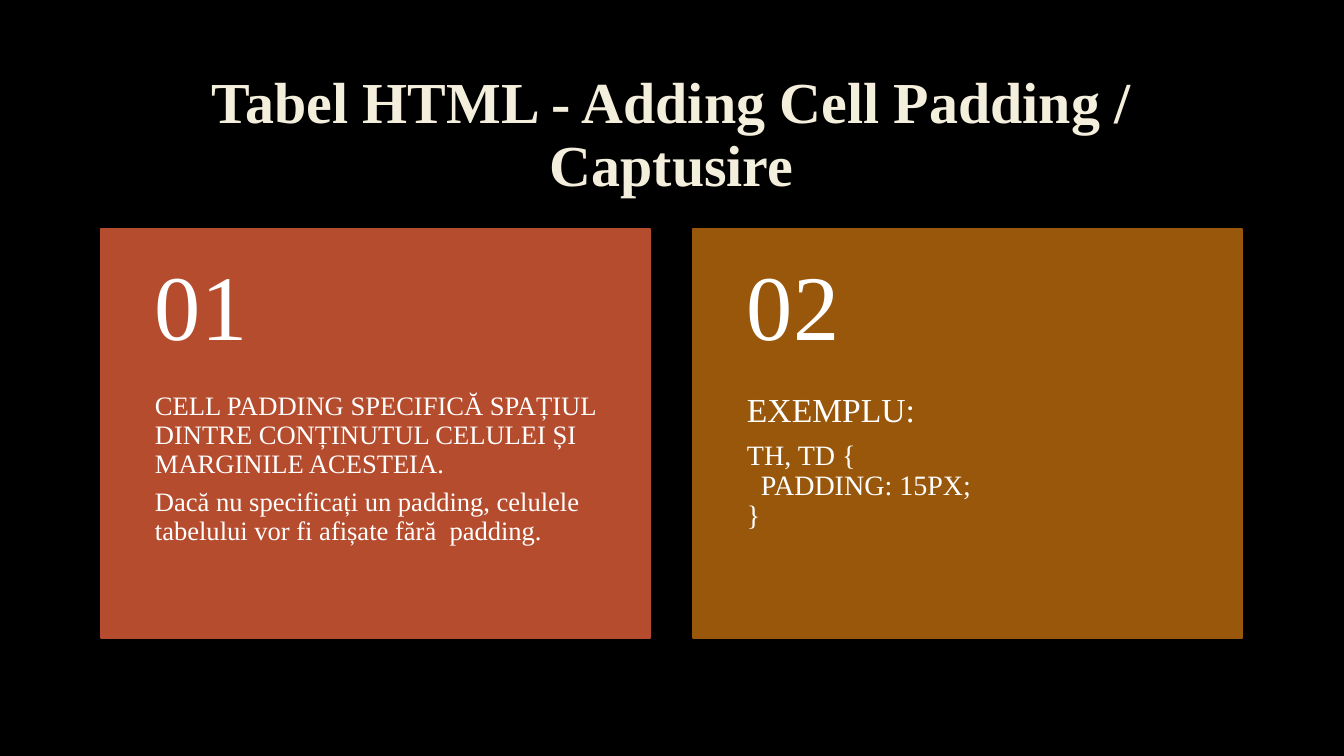
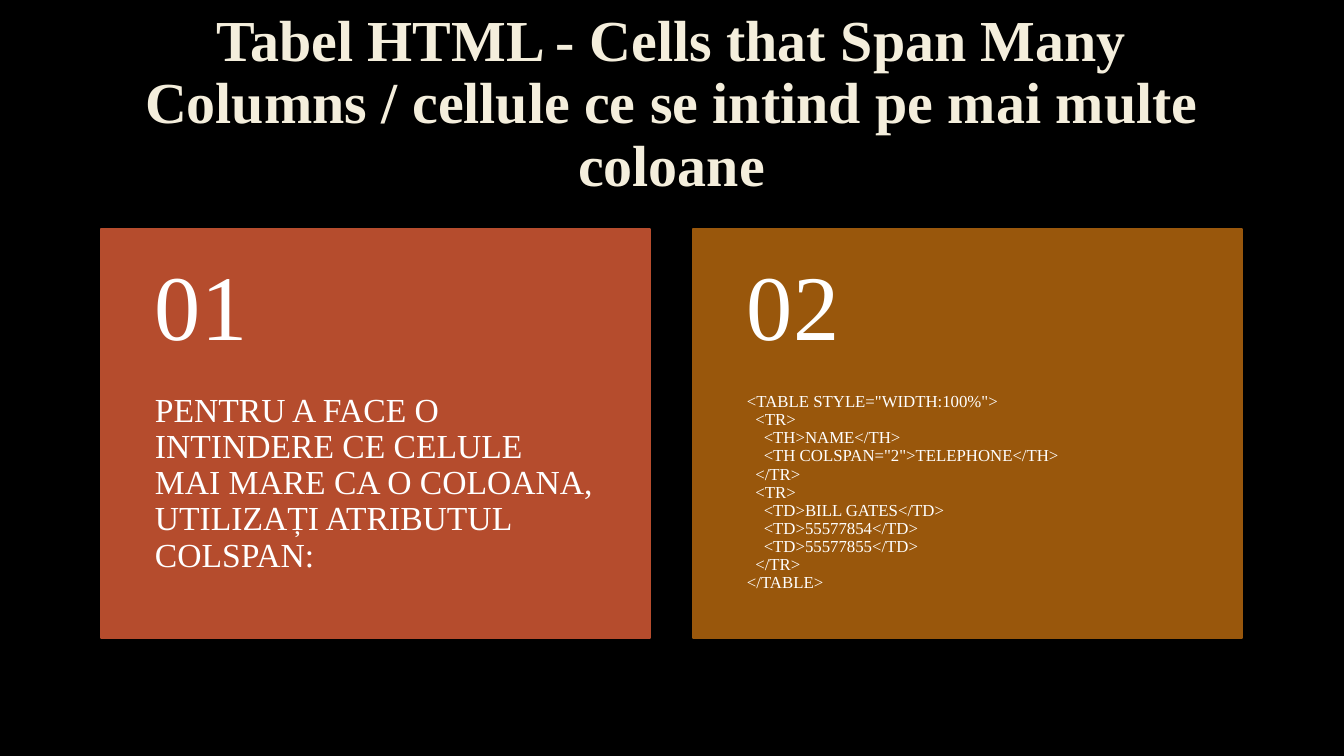
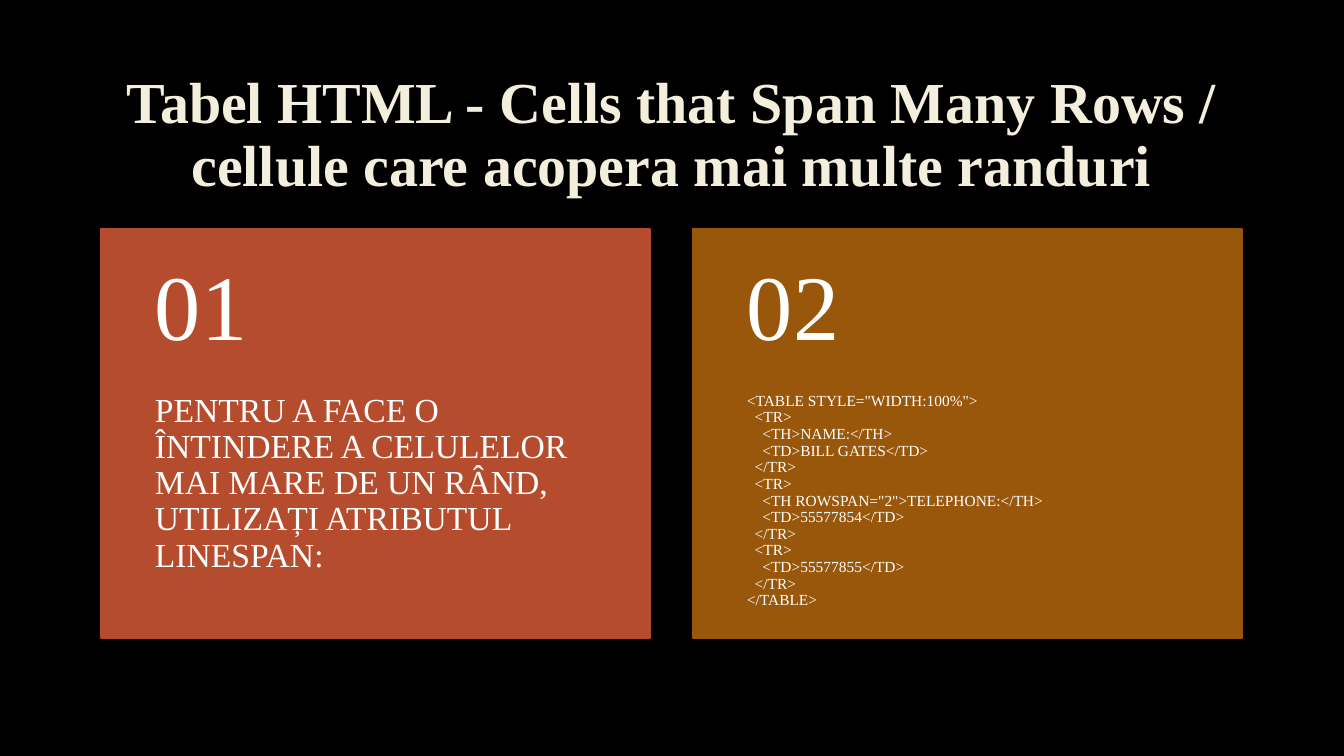
from typing import NamedTuple

from pptx import Presentation
from pptx.dml.color import RGBColor
from pptx.enum.shapes import MSO_SHAPE
from pptx.enum.text import MSO_ANCHOR, PP_ALIGN
from pptx.util import Emu, Pt

SLIDE_W, SLIDE_H = 1344, 756
EMU_PER_PX = 12192000 / SLIDE_W


def px(n):
    return Emu(round(n * EMU_PER_PX))


def rgb(value):
    return RGBColor.from_string(value)


class Line(NamedTuple):
    text: str
    size: float
    level: int = 0
    after: float = 0.35  # space after, as a share of the text size


def code(size, *rows):
    """Turn (level, text) rows into tightly set, indented lines."""
    return [Line(text, size, level, 0) for level, text in rows]


class Deck:
    FONT = "Times New Roman"
    BACKGROUND, TITLE, TEXT = "000000", "F4EEDC", "FFFFFF"
    CARD_FILLS = ("B54C2D", "99570C")
    LEFT, CARD_TOP, CARD_W, CARD_H = 101, 229, 549, 409
    CARD_STEP, NUMBER_H, PAD = 592, 164, 54

    def __init__(self):
        self.prs = Presentation()
        self.prs.slide_width, self.prs.slide_height = px(SLIDE_W), px(SLIDE_H)
        self.s = None

    def text(self, box, lines, insets, color=TEXT, bold=False,
             align=PP_ALIGN.LEFT, anchor=MSO_ANCHOR.TOP):
        """Add a text box; insets are left, top, right, bottom."""
        tf = self.s.shapes.add_textbox(*map(px, box)).text_frame
        tf.word_wrap = True
        tf.vertical_anchor = anchor
        (tf.margin_left, tf.margin_top,
         tf.margin_right, tf.margin_bottom) = map(px, insets)
        for i, line in enumerate(lines):
            p = tf.add_paragraph() if i else tf.paragraphs[0]
            p.alignment = align
            p.line_spacing = 0.9
            p.space_after = Pt(line.size * line.after)
            if line.level:
                indent = Pt(line.level * line.size / 2)
                p._p.get_or_add_pPr().set("marL", str(indent))
            r = p.add_run()
            r.text = line.text
            r.font.name = self.FONT
            r.font.size = Pt(line.size)
            r.font.bold = bold
            r.font.color.rgb = rgb(color)

    def title(self, text, bottom):
        self.text((self.LEFT, 67, 1141, 139), [Line(text, 41.4, after=0)],
                  (10, 5, 10, bottom), self.TITLE, True,
                  PP_ALIGN.CENTER, MSO_ANCHOR.MIDDLE)

    def card(self, index, lines):
        left, top, pad = self.LEFT + index * self.CARD_STEP, self.CARD_TOP, self.PAD
        sp = self.s.shapes.add_shape(
            MSO_SHAPE.RECTANGLE, *map(px, (left, top, self.CARD_W, self.CARD_H)))
        sp.shadow.inherit = False
        sp.fill.solid()
        sp.fill.fore_color.rgb = sp.line.color.rgb = rgb(self.CARD_FILLS[index])
        sp.line.width = Pt(1.25)
        self.text((left, top + self.NUMBER_H, self.CARD_W, self.CARD_H - self.NUMBER_H),
                  lines, (pad, 0, pad, 36))
        self.text((left, top, self.CARD_W, self.NUMBER_H),
                  [Line(f"{index + 1:02}", 66)], (pad, 18, pad, 18),
                  anchor=MSO_ANCHOR.MIDDLE)

    def slide(self, title, *cards, title_bottom=5):
        self.s = self.prs.slides.add_slide(self.prs.slide_layouts[6])
        fill = self.s.background.fill
        fill.solid()
        fill.fore_color.rgb = rgb(self.BACKGROUND)
        self.title(title, title_bottom)
        for index, lines in enumerate(cards):
            self.card(index, lines)


def main():
    deck = Deck()
    deck.slide(
        "Tabel HTML - Adding Cell Padding / Captusire",
        [Line("CELL PADDING SPECIFICĂ SPAȚIUL DINTRE CONȚINUTUL CELULEI "
              "ȘI MARGINILE ACESTEIA.", 19),
         Line("Dacă nu specificați un padding, celulele tabelului vor fi "
              "afișate fără  padding.", 19)],
        [Line("EXEMPLU:", 24),
         *code(20, (0, "TH, TD {"), (1, "PADDING: 15PX;"), (0, "}"))],
    )
    deck.slide(
        "Tabel HTML - Cells that Span Many Columns / cellule ce se intind "
        "pe mai multe coloane",
        [Line("PENTRU A FACE O INTINDERE CE CELULE MAI MARE CA O COLOANA, "
              "UTILIZAȚI ATRIBUTUL COLSPAN:", 24)],
        code(12,
             (0, '<TABLE STYLE="WIDTH:100%">'),
             (1, "<TR>"),
             (2, "<TH>NAME</TH>"),
             (2, '<TH COLSPAN="2">TELEPHONE</TH>'),
             (1, "</TR>"),
             (1, "<TR>"),
             (2, "<TD>BILL GATES</TD>"),
             (2, "<TD>55577854</TD>"),
             (2, "<TD>55577855</TD>"),
             (1, "</TR>"),
             (0, "</TABLE>")),
        title_bottom=68,
    )
    deck.slide(
        "Tabel HTML - Cells that Span Many Rows / cellule care acopera "
        "mai multe randuri",
        [Line("PENTRU A FACE O ÎNTINDERE A CELULELOR MAI MARE DE UN RÂND, "
              "UTILIZAȚI ATRIBUTUL LINESPAN:", 24)],
        code(11,
             (0, '<TABLE STYLE="WIDTH:100%">'),
             (1, "<TR>"),
             (2, "<TH>NAME:</TH>"),
             (2, "<TD>BILL GATES</TD>"),
             (1, "</TR>"),
             (1, "<TR>"),
             (2, '<TH ROWSPAN="2">TELEPHONE:</TH>'),
             (2, "<TD>55577854</TD>"),
             (1, "</TR>"),
             (1, "<TR>"),
             (2, "<TD>55577855</TD>"),
             (1, "</TR>"),
             (0, "</TABLE>")),
    )
    deck.prs.save("out.pptx")


if __name__ == "__main__":
    main()
